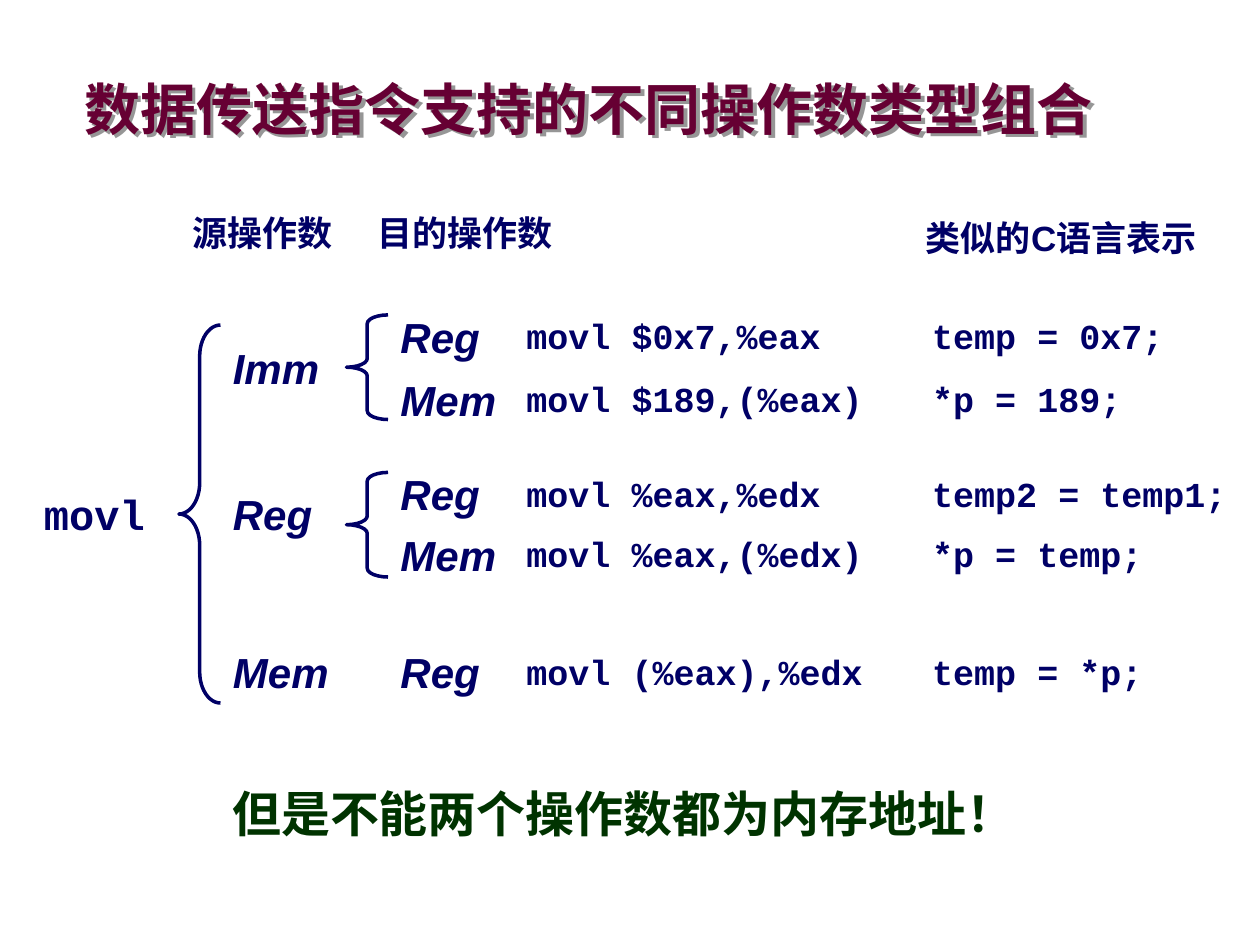
from dataclasses import dataclass

from lxml.etree import SubElement
from pptx import Presentation
from pptx.dml.color import RGBColor
from pptx.enum.shapes import MSO_SHAPE
from pptx.enum.text import MSO_ANCHOR, MSO_AUTO_SIZE, PP_ALIGN
from pptx.oxml.ns import qn
from pptx.shapes.autoshape import Shape
from pptx.slide import Slide
from pptx.util import Inches, Pt

NAVY = RGBColor(0x00, 0x00, 0x66)
MAROON = RGBColor(0x66, 0x00, 0x33)
GREEN = RGBColor(0x00, 0x33, 0x00)
GREY = RGBColor(0x96, 0x96, 0x96)

HEADING = {"name": "Arial", "size": Pt(20), "bold": True}
OPERAND = {"name": "Arial", "size": Pt(24), "bold": True, "italic": True}
MNEMONIC = {"name": "Courier New", "size": Pt(24), "bold": True}
CODE = {"name": "Courier New", "size": Pt(20), "bold": True}
TITLE = {"name": "Arial", "size": Pt(32), "bold": True}
WARNING = {"name": "Arial", "size": Pt(28), "bold": True}

TIGHT = {"margin_left": 0, "margin_right": 0, "margin_top": 0, "margin_bottom": 0, "word_wrap": True}
SNUG = {"word_wrap": True, "auto_size": MSO_AUTO_SIZE.SHAPE_TO_FIT_TEXT}

SOURCE_LEFT, TARGET_LEFT, CODE_LEFT, MEANING_LEFT = 1.75, 3.08, 4.08, 7.3
OPERAND_WIDTHS = {"Imm": 0.93, "Reg": 0.88, "Mem": 1.01}


@dataclass(frozen=True)
class Move:
    top: float
    target: str
    code: str
    meaning: str


@dataclass(frozen=True)
class Brace:
    left: float
    top: float
    height: float
    curve: float


MOVES = [
    Move(2.42, "Reg", "movl $0x7,%eax", "temp = 0x7;"),
    Move(2.92, "Mem", "movl $189,(%eax)", "*p = 189;"),
    Move(3.67, "Reg", "movl %eax,%edx", "temp2 = temp1;"),
    Move(4.15, "Mem", "movl %eax,(%edx)", "*p = temp;"),
    Move(5.08, "Reg", "movl (%eax),%edx", "temp = *p;"),
]
SOURCES = {"Imm": 2.67, "Reg": 3.83, "Mem": 5.08}
BRACES = [Brace(1.42, 2.58, 3, 0.75), Brace(2.75, 2.5, 0.83, 0.21), Brace(2.75, 3.75, 0.83, 0.21)]


def apply_format(target: object, values: dict) -> None:
    """Set every named attribute on the target."""
    for name, value in values.items():
        setattr(target, name, value)


def add_label(page: Slide, text: str, left: float, top: float, width: float, height: float,
              font: dict, frame: dict = SNUG, layout: dict | None = None,
              color: RGBColor = NAVY) -> Shape:
    """Add a box with one line of text."""
    box = page.shapes.add_textbox(Inches(left), Inches(top), Inches(width), Inches(height))
    apply_format(box.text_frame, frame)
    para = box.text_frame.paragraphs[0]
    apply_format(para, layout or {})
    span = para.add_run()
    span.text = text
    span.font.color.rgb = color
    apply_format(span.font, font)
    return box


def add_operand(page: Slide, text: str, left: float, top: float) -> None:
    """Add an operand type in large italics."""
    add_label(page, text, left, top, OPERAND_WIDTHS[text], 0.5, OPERAND)


def add_code(page: Slide, text: str, left: float, top: float) -> None:
    """Add a code line in a box slightly wider than its characters."""
    add_label(page, text, left, top, 0.25 + len(text) / 6, 0.44, CODE)


def add_brace(page: Slide, brace: Brace) -> None:
    """Draw a left curly brace."""
    shape = page.shapes.add_shape(MSO_SHAPE.LEFT_BRACE, Inches(brace.left), Inches(brace.top),
                                  Inches(0.33), Inches(brace.height))
    shape.adjustments[0] = brace.curve
    shape.adjustments[1] = 0.5
    shape.shadow.inherit = False
    shape.fill.background()
    shape.line.color.rgb = NAVY
    shape.line.width = Pt(2)


def add_text_shadow(box: Shape) -> None:
    """Give the text of an unfilled box a grey shadow to the lower right."""
    box.shadow.inherit = False
    effects = box.element.spPr.find(qn("a:effectLst"))
    shadow = SubElement(effects, qn("a:outerShdw"), dist=str(Inches(0.04)), dir="2700000")
    SubElement(shadow, qn("a:srgbClr"), val=str(GREY))


def main() -> None:
    """Build the slide of operand combinations for movl."""
    deck = Presentation()
    deck.slide_width, deck.slide_height = Inches(10), Inches(7.5)
    page = deck.slides.add_slide(deck.slide_layouts[6])

    title = add_label(page, "数据传送指令支持的不同操作数类型组合", 0.67, 0.58, 8.83, 0.63, TITLE,
                      {**TIGHT, "vertical_anchor": MSO_ANCHOR.MIDDLE}, {"line_spacing": 0.87}, MAROON)
    add_text_shadow(title)
    add_label(page, "但是不能两个操作数都为内存地址！", 0.5, 6.25, 8.9, 0.67, WARNING, TIGHT,
              {"alignment": PP_ALIGN.CENTER, "line_spacing": 0.95, "space_before": Pt(17.5)}, GREEN)

    add_label(page, "源操作数", 1.43, 1.63, 1.36, 0.44, HEADING)
    add_label(page, "目的操作数", 2.9, 1.63, 1.64, 0.44, HEADING)
    add_label(page, "类似的C语言表示", 7.25, 1.67, 2.5, 0.44, HEADING)

    add_label(page, "movl", 0.25, 3.83, 1.05, 0.5, MNEMONIC)
    for source, top in SOURCES.items():
        add_operand(page, source, SOURCE_LEFT, top)
    for brace in BRACES:
        add_brace(page, brace)
    for move in MOVES:
        add_operand(page, move.target, TARGET_LEFT, move.top)
        add_code(page, move.code, CODE_LEFT, move.top + 0.03)
        add_code(page, move.meaning, MEANING_LEFT, move.top + 0.03)

    deck.save("out.pptx")


if __name__ == "__main__":
    main()
